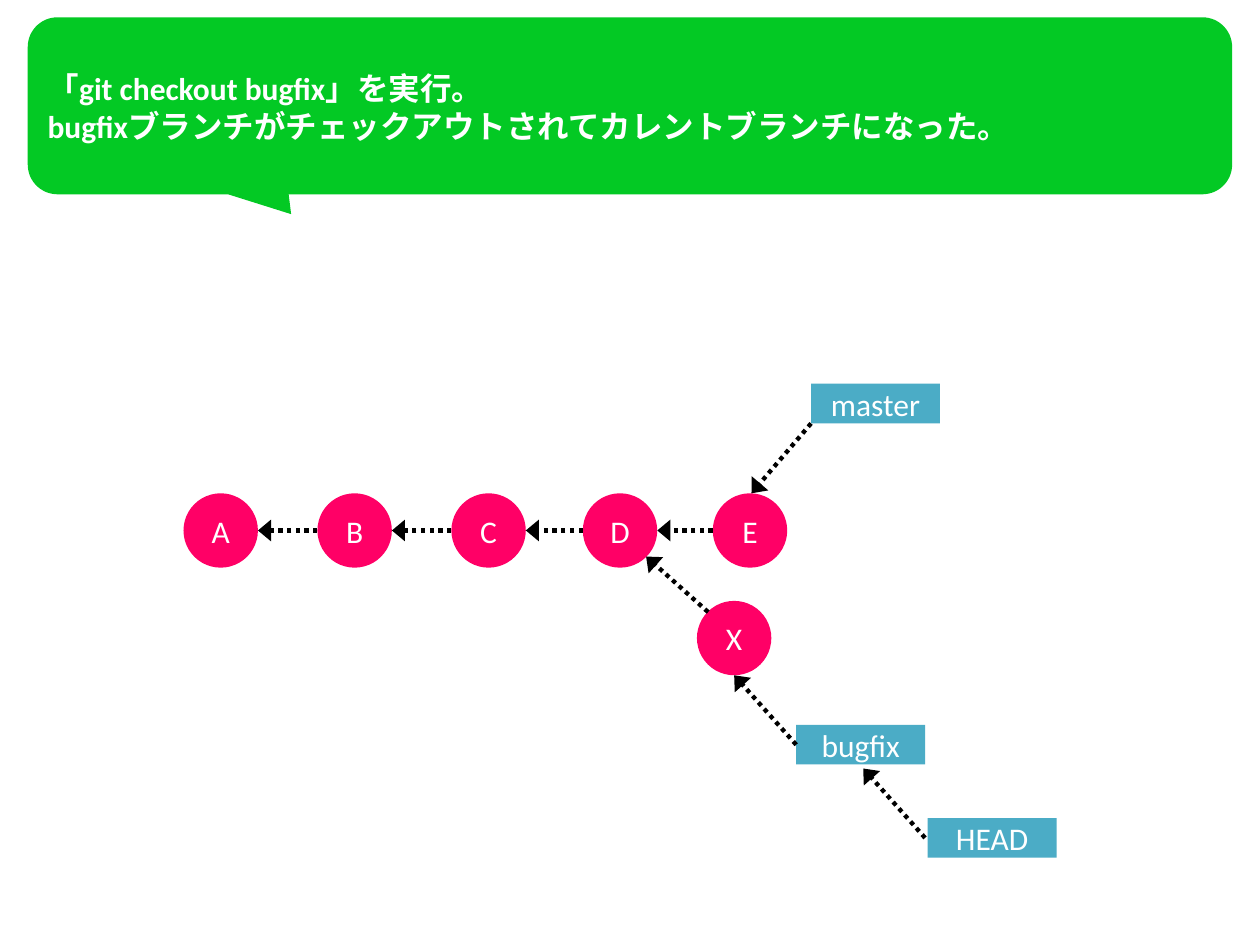
from math import cos, radians, sin

from lxml import etree
from pptx import Presentation
from pptx.dml.color import RGBColor
from pptx.enum.dml import MSO_LINE
from pptx.enum.shapes import MSO_CONNECTOR, MSO_SHAPE
from pptx.enum.text import MSO_ANCHOR, PP_ALIGN
from pptx.oxml.ns import qn
from pptx.util import Cm, Pt

CIRCLE, RECTANGLE = MSO_SHAPE.OVAL, MSO_SHAPE.RECTANGLE
STRAIGHT, DOTTED = MSO_CONNECTOR.STRAIGHT, MSO_LINE.ROUND_DOT
MIDDLE, CENTER, LEFT = MSO_ANCHOR.MIDDLE, PP_ALIGN.CENTER, PP_ALIGN.LEFT

GREEN = RGBColor(0x03, 0xC9, 0x24)
PINK = RGBColor(0xFF, 0x00, 0x66)
TEAL = RGBColor(0x4B, 0xAC, 0xC6)
WHITE = RGBColor(0xFF, 0xFF, 0xFF)
BLACK = RGBColor(0x00, 0x00, 0x00)

CM_PER_INCH = 2.54
COMMIT_SIZE = 1.5
LABEL_WIDTH, LABEL_HEIGHT = 2.6, 0.8


class GitDiagram:
    """Style and slide; all positions are in centimetres."""

    font, size = "Calibri", Pt(18)

    def __init__(self, slide):
        self.slide = slide

    def finish(self, shape, fill, text, align=CENTER, bold=False):
        shape.shadow.inherit = False
        shape.fill.solid()
        shape.fill.fore_color.rgb = fill
        shape.line.fill.background()
        frame = shape.text_frame
        frame.text = text
        frame.word_wrap = True
        frame.vertical_anchor = MIDDLE
        for paragraph in frame.paragraphs:
            paragraph.alignment = align
            for run in paragraph.runs:
                run.font.name, run.font.size = self.font, self.size
                run.font.bold = bold
                run.font.color.rgb = WHITE

    def node(self, kind, text, left, top, width, height, fill):
        """Add a node and return a function giving points on its box."""
        shape = self.slide.shapes.add_shape(
            kind, Cm(left), Cm(top), Cm(width), Cm(height))
        self.finish(shape, fill, text)
        return lambda across, down: (left + across * width, top + down * height)

    def commit(self, text, left, top):
        return self.node(CIRCLE, text, left, top, COMMIT_SIZE, COMMIT_SIZE, PINK)

    def label(self, text, left, top):
        return self.node(RECTANGLE, text, left, top, LABEL_WIDTH, LABEL_HEIGHT, TEAL)

    def arrow(self, start, end):
        connector = self.slide.shapes.add_connector(
            STRAIGHT, *(Cm(value) for value in (*start, *end)))
        line = connector.line
        line.color.rgb = BLACK
        line.width = Pt(2.5)
        line.dash_style = DOTTED
        properties = connector._element.spPr
        outline = properties.find(qn("a:ln"))
        etree.SubElement(outline, qn("a:tailEnd"), type="triangle", w="lg", len="med")
        etree.SubElement(properties, qn("a:effectLst"))

    def callout(self, text, left, top, right, bottom, radius, pointer):
        # Rounded corners, clockwise from the top left
        corners = [(left + radius, top + radius, 180),
                   (right - radius, top + radius, 270),
                   (right - radius, bottom - radius, 0),
                   (left + radius, bottom - radius, 90)]
        arcs = [[(x + radius * cos(radians(start + turn)),
                  y + radius * sin(radians(start + turn)))
                 for turn in range(0, 91, 6)] for x, y, start in corners]
        outline = [*arcs[0], *arcs[1], *arcs[2], *pointer, *arcs[3]]
        points = [(Cm(x), Cm(y)) for x, y in outline]
        builder = self.slide.shapes.build_freeform(*points[0])
        builder.add_line_segments(points[1:], close=True)
        shape = builder.convert_to_shape()
        self.finish(shape, GREEN, text, LEFT, bold=True)
        frame = shape.text_frame
        frame.margin_left = frame.margin_right = frame.margin_top = Cm(0.4)
        frame.margin_bottom = Cm(0.76)


def main():
    deck = Presentation()
    deck.slide_width = Cm(10 * CM_PER_INCH)
    deck.slide_height = Cm(7.48 * CM_PER_INCH)
    blank_layout = deck.slide_layouts[6]
    diagram = GitDiagram(deck.slides.add_slide(blank_layout))

    # Explanation
    diagram.callout(
        "「git checkout bugfix」を実行。\n"
        "bugfixブランチがチェックアウトされてカレントブランチになった。",
        0.56, 0.35, 24.84, 3.92, 0.6,
        pointer=[(5.82, 3.92), (5.87, 4.32), (4.6, 3.92)])

    # Commits on the main line, each pointing to its parent
    main_line = [diagram.commit(name, left, 9.95) for name, left in
                 zip("ABCDE", (3.7, 6.4, 9.1, 11.75, 14.37))]
    for parent, child in zip(main_line, main_line[1:]):
        diagram.arrow(child(0, 0.5), parent(1, 0.5))
    commit_d, commit_e = main_line[-2:]

    # Commit on the side branch
    commit_x = diagram.commit("X", 14.05, 12.12)
    diagram.arrow(commit_x(0.15, 0.15), commit_d(0.85, 0.85))

    # Branch and HEAD labels
    master = diagram.label("master", 16.35, 7.74)
    diagram.arrow(master(0, 1), commit_e(0.52, 0))
    bugfix = diagram.label("bugfix", 16.05, 14.62)
    diagram.arrow(bugfix(0, 0.5), commit_x(0.5, 1))
    head = diagram.label("HEAD", 18.7, 16.5)
    diagram.arrow(head(-0.02, 0.5), bugfix(0.52, 1.1))

    deck.save("out.pptx")


if __name__ == "__main__":
    main()
